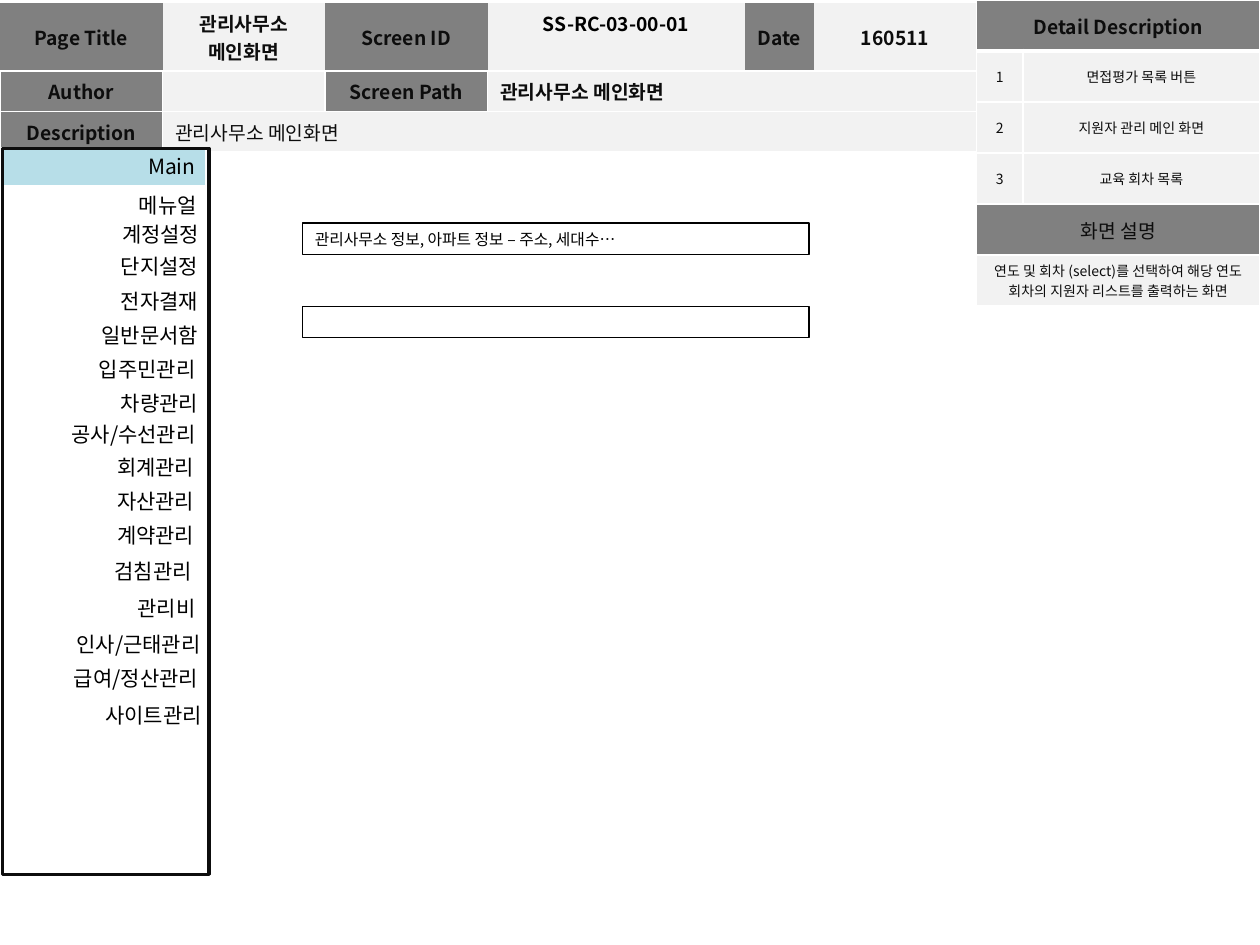
from lxml import etree
from pptx import Presentation
from pptx import util as u
from pptx.dml.color import RGBColor
from pptx.enum import shapes, text
from pptx.oxml import ns

WIDTH, HEIGHT = 10, 7.5
FONT = "Noto Sans CJK KR"
COLORS = {"label": "808080", "value": "F2F2F2", "ink": "0D0D0D", "black": "000000",
          "white": "FFFFFF", "active": "B7DEE8"}
NO_TABLE_STYLE = "{2D5ABB26-0587-4C30-8999-92F81FD0307C}"
CENTER, LEFT, RIGHT = text.PP_ALIGN.CENTER, text.PP_ALIGN.LEFT, text.PP_ALIGN.RIGHT
TOP, MIDDLE = text.MSO_ANCHOR.TOP, text.MSO_ANCHOR.MIDDLE

LABEL = {"fill": "label"}
VALUE = {"fill": "value"}
PLAIN = {"fill": "value", "size": 8, "bold": False}

HEADER_COLUMNS = [1.29, 1.29, 1.29, 2.04, 0.55, 1.29]
HEADER_ROWS = [0.54, 0.32, 0.32]
HEADER_CELLS = [
    (0, 0, 1, "Page Title", LABEL),
    (0, 1, 1, "관리사무소 메인화면", VALUE),
    (0, 2, 1, "Screen ID", LABEL),
    (0, 3, 1, "SS-RC-03-00-01", {"fill": "value", "color": "black", "anchor": TOP}),
    (0, 4, 1, "Date", LABEL),
    (0, 5, 1, "160511", VALUE),
    (1, 0, 1, "Author", LABEL),
    (1, 1, 1, "", VALUE),
    (1, 2, 1, "Screen Path", LABEL),
    (1, 3, 3, "관리사무소 메인화면", {"fill": "value", "align": LEFT}),
    (2, 0, 1, "Description", LABEL),
    (2, 1, 5, "관리사무소 메인화면", {"fill": "value", "align": LEFT, "bold": False}),
]

DETAIL_COLUMNS = [0.37, 1.88]
DETAIL_ROWS = [2.43 / 6] * 6
DETAIL_ITEMS = ["면접평가 목록 버튼", "지원자 관리 메인 화면", "교육 회차 목록"]
SCREEN_NOTE = "연도 및 회차 (select)를 선택하여 해당 연도 회차의 지원자 리스트를 출력하는 화면"

MENU_ITEMS = [
    ("Main", 0, 1.17), ("메뉴얼", 0.01, 1.48), ("계정설정", 0.03, 1.71),
    ("단지설정", 0.02, 1.96), ("전자결재", 0.02, 2.24), ("일반문서함", 0.02, 2.51),
    ("입주민관리", 0, 2.78), ("차량관리", 0.02, 3.05), ("공사/수선관리", 0, 3.3),
    ("회계관리", -0.01, 3.56), ("자산관리", -0.01, 3.83), ("계약관리", -0.01, 4.1),
    ("검침관리", -0.03, 4.38), ("관리비", 0, 4.68), ("인사/근태관리", 0.04, 4.96),
    ("급여/정산관리", 0.02, 5.23), ("사이트관리", 0.05, 5.53),
]


def rgb(name):
    return RGBColor.from_string(COLORS[name])


def apply(target, values):
    for name, value in values.items():
        setattr(target, name, value)


def write(paragraph, words, size, color="black", bold=False, align=LEFT):
    paragraph.alignment = align
    if not words:
        etree.SubElement(paragraph._p, ns.qn("a:endParaRPr"), sz=str(size * 100))
        return
    run = paragraph.add_run()
    run.text = words
    apply(run.font, {"name": FONT, "size": u.Pt(size), "bold": bold})
    run.font.color.rgb = rgb(color)
    properties = run._r.get_or_add_rPr()
    etree.SubElement(properties, ns.qn("a:ea"), typeface=FONT)


def add_border(cell, sides):
    properties = cell._tc.get_or_add_tcPr()
    for side, points in sides.items():
        line = etree.SubElement(properties, ns.qn("a:ln" + side), w=str(u.Pt(points)))
        fill = etree.SubElement(line, ns.qn("a:solidFill"))
        etree.SubElement(fill, ns.qn("a:srgbClr"), val=COLORS["white"])


def format_cell(cell, words, fill, size=11, bold=True, color="ink", align=CENTER, anchor=MIDDLE):
    cell.fill.solid()
    cell.fill.fore_color.rgb = rgb(fill)
    cell.vertical_anchor = anchor
    write(cell.text_frame.paragraphs[0], words, size, color, bold, align)


def add_table(slide, left, top, columns, rows, cells, border_for, margin=0.05):
    frame = slide.shapes.add_table(len(rows), len(columns), u.Inches(left), u.Inches(top),
                                   u.Inches(sum(columns)), u.Inches(sum(rows)))
    table = frame.table
    table._tbl.tblPr.find(ns.qn("a:tableStyleId")).text = NO_TABLE_STYLE
    for column, width in zip(table.columns, columns):
        column.width = u.Inches(width)
    for row, height in zip(table.rows, rows):
        row.height = u.Inches(height)
    for row, column, span, words, style in cells:
        for offset in range(span):
            cell = table.cell(row, column + offset)
            apply(cell, {"margin_top": u.Inches(margin), "margin_bottom": u.Inches(margin)})
            add_border(cell, border_for(row))
            format_cell(cell, "" if offset else words, **style)
        if span > 1:
            table.cell(row, column).merge(table.cell(row, column + span - 1))


def add_box(slide, left, top, width, height, line, points, fill=None, words=""):
    box = slide.shapes.add_shape(shapes.MSO_SHAPE.RECTANGLE, u.Inches(left), u.Inches(top),
                                 u.Inches(width), u.Inches(height))
    box.shadow.inherit = False
    if fill:
        box.fill.solid()
        box.fill.fore_color.rgb = rgb(fill)
    else:
        box.fill.background()
    box.line.color.rgb = rgb(line)
    box.line.width = u.Pt(points)
    if words:
        apply(box.text_frame, {"margin_top": 0, "margin_bottom": 0, "word_wrap": True,
                               "vertical_anchor": MIDDLE})
        write(box.text_frame.paragraphs[0], words, 9)


def add_menu_item(slide, words, left, top):
    box = slide.shapes.add_textbox(u.Inches(left), u.Inches(top), u.Inches(1.65), u.Inches(0.3))
    apply(box.text_frame, {"word_wrap": True, "auto_size": text.MSO_AUTO_SIZE.SHAPE_TO_FIT_TEXT})
    write(box.text_frame.paragraphs[0], words, 12, align=RIGHT)


def header_border(row):
    return {"B": 1} if row == 0 else dict.fromkeys("LRTB", 1)


def detail_border(row):
    return {"L": 1, "R": 1, "T": 3 if row == 1 else 1, "B": 3 if row == 0 else 1}


def detail_cells():
    cells = [(0, 0, 2, "Detail Description", LABEL)]
    for number, item in enumerate(DETAIL_ITEMS, 1):
        cells += [(number, 0, 1, str(number), PLAIN), (number, 1, 1, item, PLAIN)]
    return cells + [(4, 0, 2, "화면 설명", {"fill": "label", "bold": False}),
                    (5, 0, 2, SCREEN_NOTE, PLAIN)]


def main():
    presentation = Presentation()
    apply(presentation, {"slide_width": u.Inches(WIDTH), "slide_height": u.Inches(HEIGHT)})
    slide = presentation.slides.add_slide(presentation.slide_layouts[6])
    add_table(slide, 0, 0.02, HEADER_COLUMNS, HEADER_ROWS, HEADER_CELLS, header_border)
    add_box(slide, 0, 1.18, 1.64, 0.3, "white", 2, fill="active")
    add_box(slide, 0.02, 1.18, 1.64, 5.76, "ink", 2)
    for words, left, top in MENU_ITEMS:
        add_menu_item(slide, words, left, top)
    for top, words in ((1.77, "관리사무소 정보, 아파트 정보 – 주소, 세대수…"), (2.43, "")):
        add_box(slide, 2.4, top, 4.02, 0.25, "black", 0.75, words=words)
    add_table(slide, WIDTH - sum(DETAIL_COLUMNS), 0, DETAIL_COLUMNS, DETAIL_ROWS,
              detail_cells(), detail_border, margin=0.03)
    presentation.save("out.pptx")


if __name__ == "__main__":
    main()
